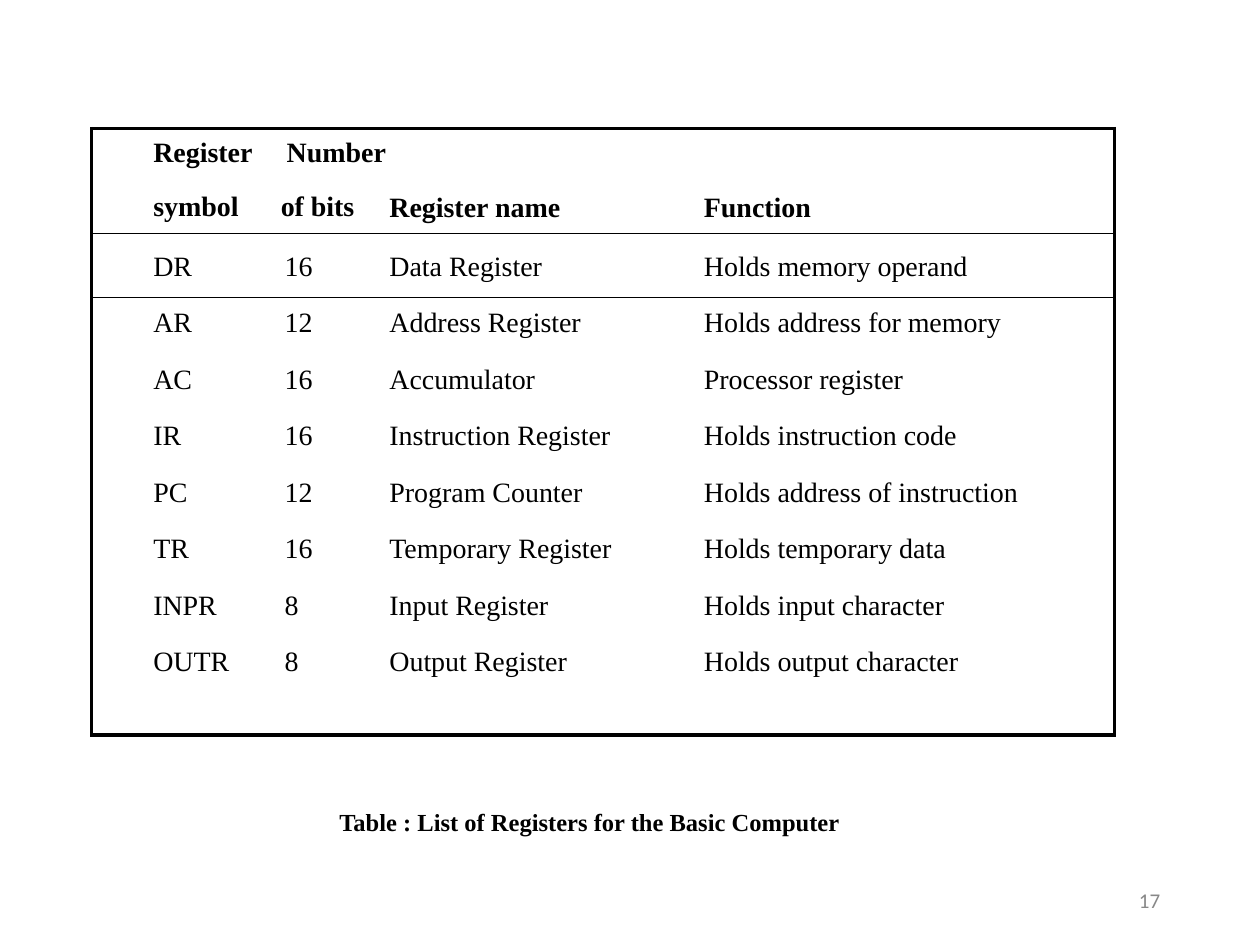
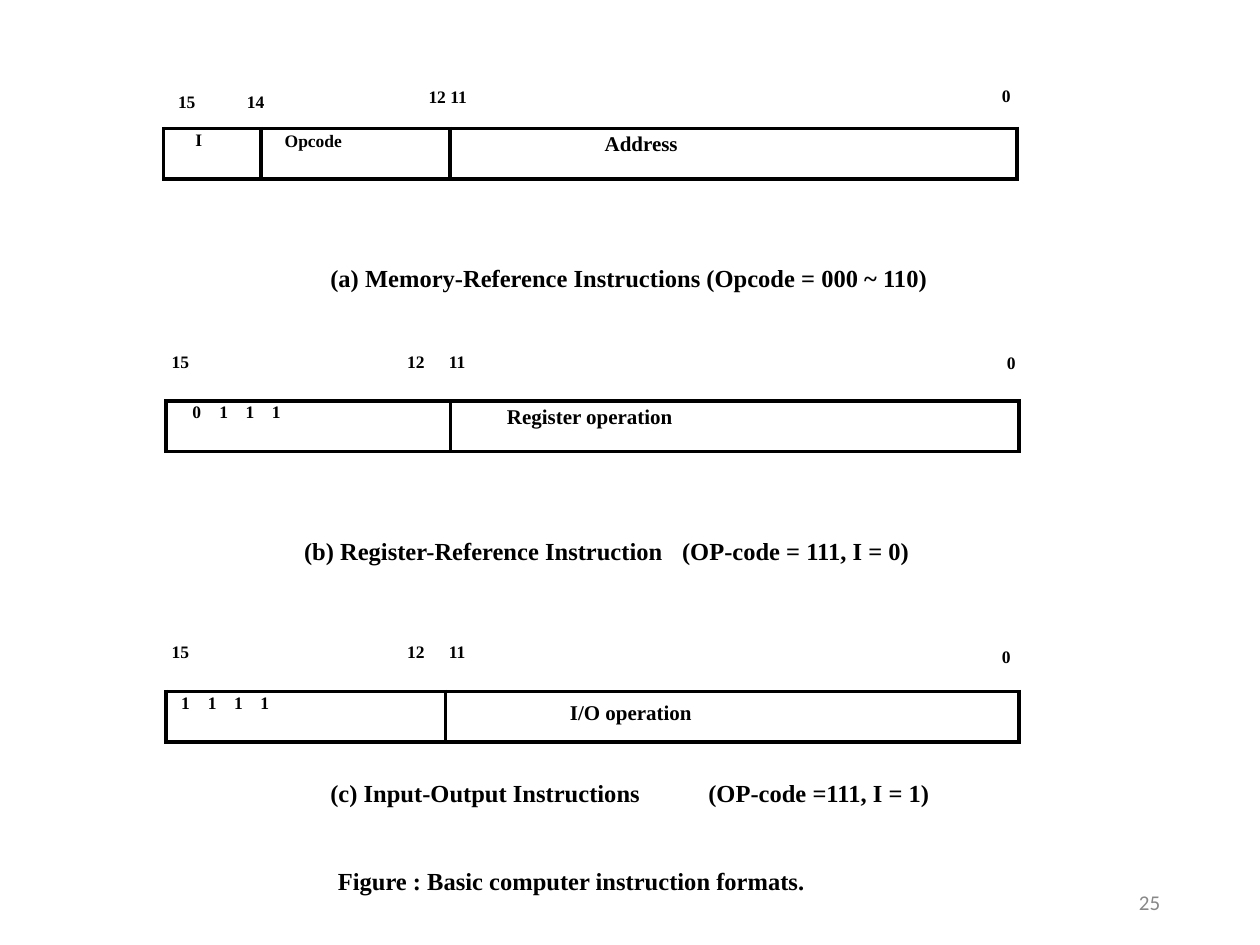
from dataclasses import dataclass

from lxml import etree
from pptx import Presentation
from pptx import util as u
from pptx.dml.color import RGBColor
from pptx.enum import text
from pptx.oxml import ns

COLORS = {"ink": "000000", "page": "888888"}
SERIF = "Times New Roman"
THICK, THIN = 2.25, 0.5


@dataclass
class Label:
    text: str
    left: float
    top: float
    width: float = 0.43
    size: int = 10


@dataclass
class Cell:
    text: str
    left: float
    top: float = 0.05
    size: int = 10
    bold: bool = True


@dataclass
class Grid:
    left: float
    top: float
    widths: list[float]
    heights: list[float]
    cells: list[list[Cell]]
    h_lines: dict[int, float]
    v_lines: dict[int, float]


def write(tf, words: str, size: int, bold: bool = True, font: str = SERIF, color: str = "ink") -> None:
    tf.text = words
    for p in tf.paragraphs:
        p.alignment = text.PP_ALIGN.LEFT
        for r in p.runs:
            r.font.size = u.Pt(size)
            r.font.name = font
            r.font.bold = bold
            r.font.color.rgb = RGBColor.from_string(COLORS[color])


def frame(sp, left: float, top: float = 0.03):
    tf = sp.text_frame
    tf.word_wrap = True
    tf.auto_size = text.MSO_AUTO_SIZE.NONE
    tf.vertical_anchor = text.MSO_ANCHOR.TOP
    tf.margin_left, tf.margin_top = u.Cm(left), u.Cm(top)
    tf.margin_right = tf.margin_bottom = 0
    return tf


def fill_label(sp, label: Label) -> None:
    sp.left, sp.top, sp.width = u.Cm(label.left), u.Cm(label.top), u.Cm(label.width)
    sp.height = u.Cm(round(label.size * 0.0475, 2))
    tf = frame(sp, 0.03)
    write(tf, label.text, label.size)
    if "\t" in label.text:
        pPr = tf.paragraphs[0]._p.get_or_add_pPr()
        tabs = etree.SubElement(pPr, ns.qn("a:tabLst"))
        etree.SubElement(tabs, ns.qn("a:tab"), pos=str(u.Cm(0.84)), algn="l")


def add_label(s, label: Label) -> None:
    fill_label(s.shapes.add_textbox(0, 0, 0, 0), label)


def add_page_number(s, number: int, spacing: float) -> None:
    sp = s.shapes.add_textbox(u.Cm(22.86), u.Cm(17.96), u.Cm(0.64), u.Cm(0.51))
    tf = frame(sp, 0.1, 0)
    write(tf, str(number), 12, False, "Calibri", "page")
    tf.paragraphs[0].line_spacing = u.Pt(spacing)


def add_border(tcPr, side: str, width: float) -> None:
    ln = etree.SubElement(tcPr, ns.qn(f"a:ln{side}"), w=str(u.Pt(width)))
    if width:
        fill = etree.SubElement(ln, ns.qn("a:solidFill"))
        etree.SubElement(fill, ns.qn("a:srgbClr"), val=COLORS["ink"])
    else:
        etree.SubElement(ln, ns.qn("a:noFill"))


def add_grid(s, grid: Grid):
    table = s.shapes.add_table(
        len(grid.heights), len(grid.widths), u.Cm(grid.left), u.Cm(grid.top),
        u.Cm(sum(grid.widths)), u.Cm(sum(grid.heights))).table
    table.first_row = table.horz_banding = False
    for column, width in zip(table.columns, grid.widths):
        column.width = u.Cm(width)
    for i, (row, cells) in enumerate(zip(table.rows, grid.cells)):
        row.height = u.Cm(grid.heights[i])
        for j, item in enumerate(cells):
            cell = table.cell(i, j)
            cell.margin_left, cell.margin_top = u.Cm(item.left), u.Cm(item.top)
            cell.margin_right = cell.margin_bottom = 0
            write(cell.text_frame, item.text, item.size, item.bold)
            for p in cell.text_frame.paragraphs[1:]:
                p.space_before = u.Pt(13.1)
            tcPr = cell._tc.get_or_add_tcPr()
            edges = {"L": (grid.v_lines, j), "R": (grid.v_lines, j + 1),
                     "T": (grid.h_lines, i), "B": (grid.h_lines, i + 1)}
            for side, (lines, edge) in edges.items():
                add_border(tcPr, side, lines.get(edge, 0))
            cell.fill.background()
    return table


def new_slide(prs, caption: Label, number: int, spacing: float):
    s = prs.slides.add_slide(prs.slide_layouts[5])
    fill_label(s.shapes.title, caption)
    add_page_number(s, number, spacing)
    return s


REGISTERS = [
    ("DR", "16", "Data Register", "Holds memory operand"),
    ("AR", "12", "Address Register", "Holds address for memory"),
    ("AC", "16", "Accumulator", "Processor register"),
    ("IR", "16", "Instruction Register", "Holds instruction code"),
    ("PC", "12", "Program Counter", "Holds address of instruction"),
    ("TR", "16", "Temporary Register", "Holds temporary data"),
    ("INPR", "8", "Input Register", "Holds input character"),
    ("OUTR", "8", "Output Register", "Holds output character"),
]
REGISTER_INDENTS = (1.24, 0.36, 0.03, 0.91)


def registers_slide(prs) -> None:
    s = new_slide(prs, Label("Table : List of Registers for the Basic Computer", 6.81, 16.23, 10.3, 14), 17, 12.4)
    header = [Cell("Register\nsymbol", 1.24, 0.18, 16), Cell("Number\nof bits", 0.28, 0.18, 16),
              Cell("Register name", 0.03, 1.29, 16), Cell("Function", 0.91, 1.29, 16)]
    body = [[Cell(words, left, 0.2 if i else 0.36, 16, False)
             for words, left in zip(register, REGISTER_INDENTS)]
            for i, register in enumerate(REGISTERS)]
    table = add_grid(s, Grid(
        1.85, 2.59, [3.53, 2.44, 5.46, 9.19], [2.11, 1.3] + [1.14] * 6 + [1.98],
        [header] + body, {0: THICK, 1: THIN, 2: THIN, 9: THICK}, {0: THICK, 4: THICK}))
    number = table.cell(0, 1).text_frame.paragraphs[0]
    number._p.get_or_add_pPr().set("indent", str(u.Cm(0.12)))


def instruction_grid(left: float, top: float, widths: list[float], cells: list[Cell], dividers: list[int]) -> Grid:
    return Grid(left, top, widths, [1.02], [cells], {0: THICK, 1: THICK},
                {edge: THICK for edge in [0, *dividers, len(widths)]})


def bit_cells(bits: str, left: float) -> list[Cell]:
    return [Cell(bit, 0.18 if i else left) for i, bit in enumerate(bits)]


FORMATS = [
    instruction_grid(3.3, 2.59, [1.96, 3.81, 11.43],
                     [Cell("I", 0.64), Cell("Opcode", 0.48, 0.08), Cell("Address", 3.12, 0.08, 12)], [1, 2]),
    instruction_grid(3.35, 8.08, [0.89, 0.53, 0.53, 3.78, 11.46],
                     bit_cells("0111", 0.53) + [Cell("Register operation", 1.14, 0.11, 12)], [4]),
    instruction_grid(3.35, 13.94, [0.66, 0.53, 0.53, 3.91, 11.56],
                     bit_cells("1111", 0.3) + [Cell("I/O operation", 2.51, 0.2, 12)], [4]),
]
FORMAT_LABELS = [
    Label("15", 3.56, 1.8),
    Label("14", 4.95, 1.8),
    Label("12 11", 8.61, 1.7, 1),
    Label("0", 20.17, 1.68, 0.3),
    Label("15", 3.43, 7.04),
    Label("12\t11", 8.18, 7.04, 1.3),
    Label("0", 20.27, 7.06, 0.3),
    Label("15", 3.43, 12.9),
    Label("12\t11", 8.18, 12.9, 1.3),
    Label("0", 20.17, 13, 0.3),
    Label("(a) Memory-Reference Instructions (Opcode = 000 ~ 110)", 6.63, 5.28, 12.4, 14),
    Label("(b) Register-Reference Instruction", 6.1, 10.77, 7.4, 14),
    Label("(OP-code = 111, I = 0)", 13.72, 10.77, 4.9, 14),
    Label("(c) Input-Output Instructions", 6.63, 15.65, 6.5, 14),
    Label("(OP-code =111, I = 1)", 14.25, 15.65, 4.8, 14),
]


def formats_slide(prs) -> None:
    s = new_slide(prs, Label("Figure : Basic computer instruction formats.", 6.78, 17.42, 9.7, 14), 25, 13.8)
    for grid in FORMATS:
        add_grid(s, grid)
    for label in FORMAT_LABELS:
        add_label(s, label)


def main() -> None:
    prs = Presentation()
    prs.slide_width, prs.slide_height = u.Cm(25.4), u.Cm(19.05)
    registers_slide(prs)
    formats_slide(prs)
    prs.save("out.pptx")


if __name__ == "__main__":
    main()
